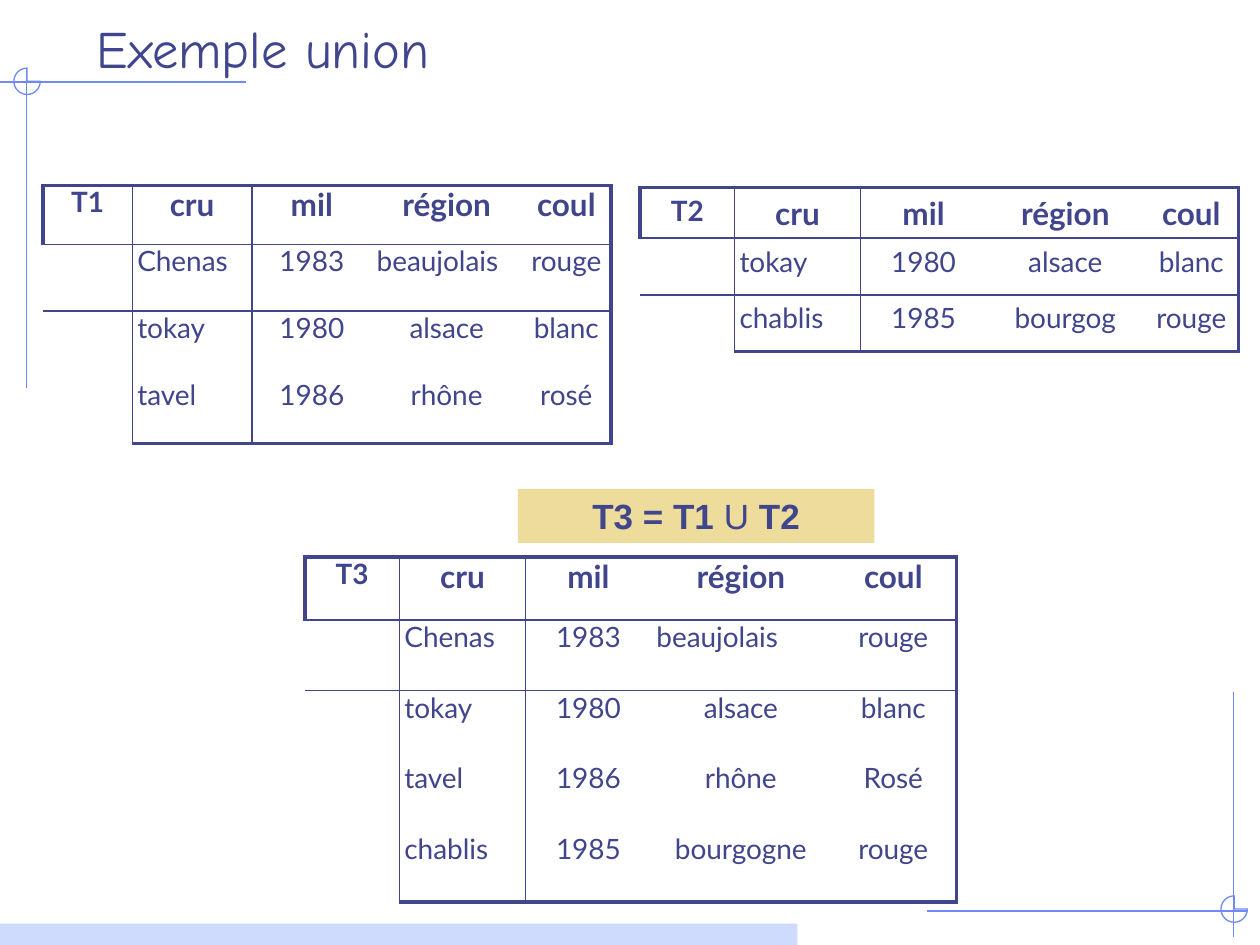
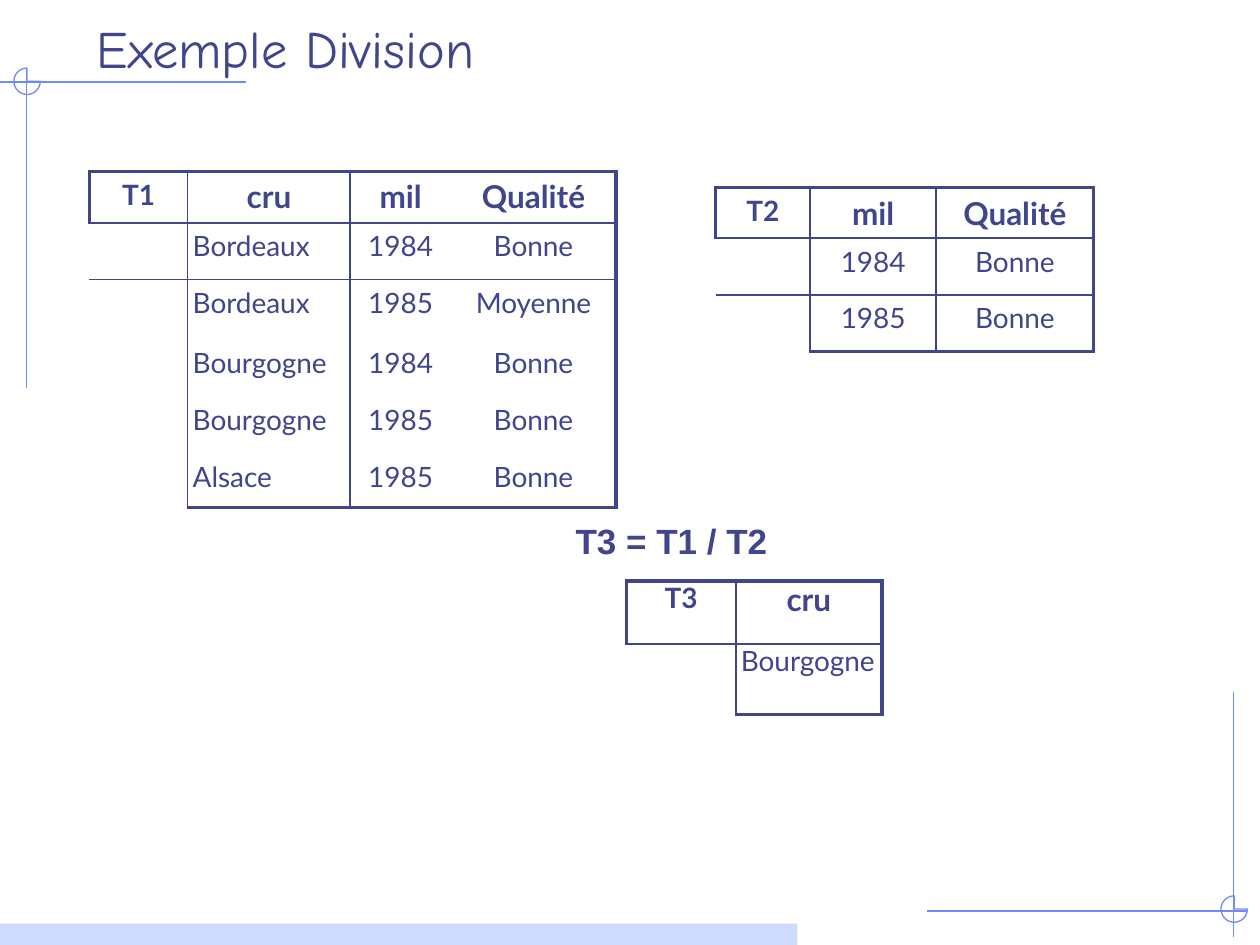
from lxml import etree
from pptx import Presentation
from pptx import util as u
from pptx.dml.color import RGBColor
from pptx.enum import shapes, text
from pptx.oxml import ns

INK, RULE, BAND, SAND = "40458C", "6F89F7", "CFDBFD", "EDDC9C"
THIN, THICK = 1, 2.25
AL = text.PP_ALIGN


def rgb(hex_color):
    return RGBColor.from_string(hex_color)


def set_border(cell, side, width):
    """Draw one cell side ("L", "R", "T" or "B"); width 0 leaves it empty."""
    tc_pr = cell._tc.get_or_add_tcPr()
    ln = etree.SubElement(tc_pr, ns.qn(f"a:ln{side}"), w=str(u.Pt(width)))
    if width:
        fill = etree.SubElement(ln, ns.qn("a:solidFill"))
        etree.SubElement(fill, ns.qn("a:srgbClr"), val=INK)
    else:
        etree.SubElement(ln, ns.qn("a:noFill"))


# Rules as x1, y1, x2, y2 and the left, top of each three-quarter circle
rules = [(1.95, 0.65, 0, 0.65), (0.21, 0.55, 0.21, 3.08),
         (9.79, 5.49, 9.79, 7.44), (9.9, 7.23, 7.36, 7.23)]
circles = [(0.11, 0.54), (9.69, 7.11)]

# Each relation: left, top, column widths, row heights, top and bottom margin,
# number of justified leading columns, rows
union_tables = [
    (0.34, 1.47, [0.71, 0.95, 0.95, 1.19, 0.71], [0.47, 0.53, 0.53, 0.52], 0, [
        ["T1", "cru", "mil", "région", "coul"],
        ["", "Chenas", "1983", "beaujolais", "rouge"],
        ["", "tokay", "1980", "alsace", "blanc"],
        ["", "tavel", "1986", "rhône", "rosé"]]),
    (5.08, 1.49, [0.75, 1, 1, 1.25, 0.75], [0.4, 0.45, 0.45], 0.05, [
        ["T2", "cru", "mil", "région", "coul"],
        ["", "tokay", "1980", "alsace", "blanc"],
        ["", "chablis", "1985", "bourgog", "rouge"]]),
    (2.42, 4.42, [0.75, 1, 1, 1.42, 1], [0.5] + [0.56] * 4, 0, [
        ["T3", "cru", "mil", "région", "coul"],
        ["", "Chenas", "1983", "beaujolais", "rouge"],
        ["", "tokay", "1980", "alsace", "blanc"],
        ["", "tavel", "1986", "rhône", "Rosé"],
        ["", "chablis", "1985", "bourgogne", "rouge"]]),
]
division_tables = [
    (0.71, 1.36, [0.78, 1.29, 0.8, 1.31],
     [0.41, 0.45, 0.48, 0.45, 0.45, 0.43], 0.05, [
        ["T1", "cru", "mil", "Qualité"],
        ["", "Bordeaux", "1984", "Bonne"],
        ["", "Bordeaux", "1985", "Moyenne"],
        ["", "Bourgogne", "1984", "Bonne"],
        ["", "Bourgogne", "1985", "Bonne"],
        ["", "Alsace", "1985", "Bonne"]]),
    (5.68, 1.49, [0.75, 1, 1.25], [0.4, 0.45, 0.45], 0.05, [
        ["T2", "mil", "Qualité"],
        ["", "1984", "Bonne"],
        ["", "1985", "Bonne"]]),
    (4.97, 4.61, [0.87, 1.16], [0.5, 0.56], 0, [
        ["T3", "cru"],
        ["", "Bourgogne"]]),
]

# Title, tables, formula runs (text, bold), formula box, its fill and alignment
slides = [
    ("Exemple union", union_tables,
     [("T3 = T1 ", True), ("U", False), (" T2", True)],
     (4.11, 3.88, 2.83, 0.43), SAND, AL.CENTER),
    ("Exemple Division", division_tables, [("T3 = T1 / T2", True)],
     (4.47, 4.07, 2.83, 0.45), None, AL.LEFT),
]

prs = Presentation()
prs.slide_width, prs.slide_height = u.Inches(10), u.Inches(7.5)

for title, tables, formula, formula_box, formula_fill, formula_align in slides:
    s = prs.slides.add_slide(prs.slide_layouts[6])

    # Corner ornaments and footer band
    for ends in rules:
        line = s.shapes.add_connector(shapes.MSO_CONNECTOR.STRAIGHT, *map(u.Inches, ends))
        line.line.color.rgb = rgb(RULE)
        line.line.width = u.Pt(0.75)
        etree.SubElement(line._element.spPr, ns.qn("a:effectLst"))
    for left, top in circles:
        sp = s.shapes.add_shape(shapes.MSO_SHAPE.PIE, u.Inches(left), u.Inches(top),
                                u.Inches(0.21), u.Inches(0.21))
        sp.shadow.inherit = False
        sp.fill.background()
        sp.line.color.rgb = rgb(RULE)
        sp.line.width = u.Pt(0.75)
    sp = s.shapes.add_shape(shapes.MSO_SHAPE.RECTANGLE, 0, u.Inches(7.33),
                            u.Inches(6.33), u.Inches(0.17))
    sp.shadow.inherit = False
    sp.fill.solid()
    sp.fill.fore_color.rgb = rgb(BAND)
    sp.line.fill.background()

    # Title
    tf = s.shapes.add_textbox(*map(u.Inches, (0.67, 0.01, 9.08, 0.67))).text_frame
    tf.word_wrap = True
    tf.vertical_anchor = text.MSO_ANCHOR.BOTTOM
    p = tf.paragraphs[0]
    p.text = title
    p.font.name, p.font.size = "Comic Neue", u.Pt(30)
    p.font.color.rgb = rgb(INK)

    # Relations
    for left, top, widths, heights, margin, rows in tables:
        tbl = s.shapes.add_table(len(rows), len(widths), u.Inches(left), u.Inches(top),
                                 u.Inches(sum(widths)), u.Inches(sum(heights))).table
        tbl.first_row = tbl.horz_banding = False
        for col, width in zip(tbl.columns, widths):
            col.width = u.Inches(width)
        for row, height in zip(tbl.rows, heights):
            row.height = u.Inches(height)
        last_row, last_col = len(rows) - 1, len(widths) - 1
        for i, values in enumerate(rows):
            for j, value in enumerate(values):
                cell = tbl.cell(i, j)
                header = i == 0
                cell.margin_left = cell.margin_right = u.Inches(0 if header else 0.04)
                cell.margin_top = cell.margin_bottom = u.Inches(margin)

                p = cell.text_frame.paragraphs[0]
                p.text = value
                justified = value == "beaujolais" or (j == 1 and rows[0][1] == "cru")
                p.alignment = AL.JUSTIFY if justified and not header else AL.CENTER
                p.font.name, p.font.bold = "Lato", header
                p.font.size = u.Pt(18 if header and j else 16)
                p.font.color.rgb = rgb(INK)

                # The name column is boxed in the header only
                left_w = THIN if j in (1, 2) else THICK if header and j == 0 else 0
                right_w = THICK if j == last_col else THIN if j < 2 else 0
                top_w = THICK if header else THIN if i <= 2 else 0
                if i == last_row:
                    bottom_w = THICK if j else 0
                else:
                    bottom_w = THIN if i < 2 else 0
                for side, width in zip("LRTB", (left_w, right_w, top_w, bottom_w)):
                    set_border(cell, side, width)
                cell.fill.background()

    # Formula
    box = [u.Inches(v) for v in formula_box]
    if formula_fill:
        sp = s.shapes.add_shape(shapes.MSO_SHAPE.RECTANGLE, *box)
        sp.shadow.inherit = False
        sp.fill.solid()
        sp.fill.fore_color.rgb = rgb(formula_fill)
        sp.line.fill.background()
    else:
        sp = s.shapes.add_textbox(*box)
    tf = sp.text_frame
    tf.word_wrap = True
    p = tf.paragraphs[0]
    p.alignment = formula_align
    p.font.name, p.font.size = "Arial", u.Pt(20)
    p.font.color.rgb = rgb(INK)
    for words, bold in formula:
        r = p.add_run()
        r.text, r.font.bold = words, bold

prs.save("out.pptx")
